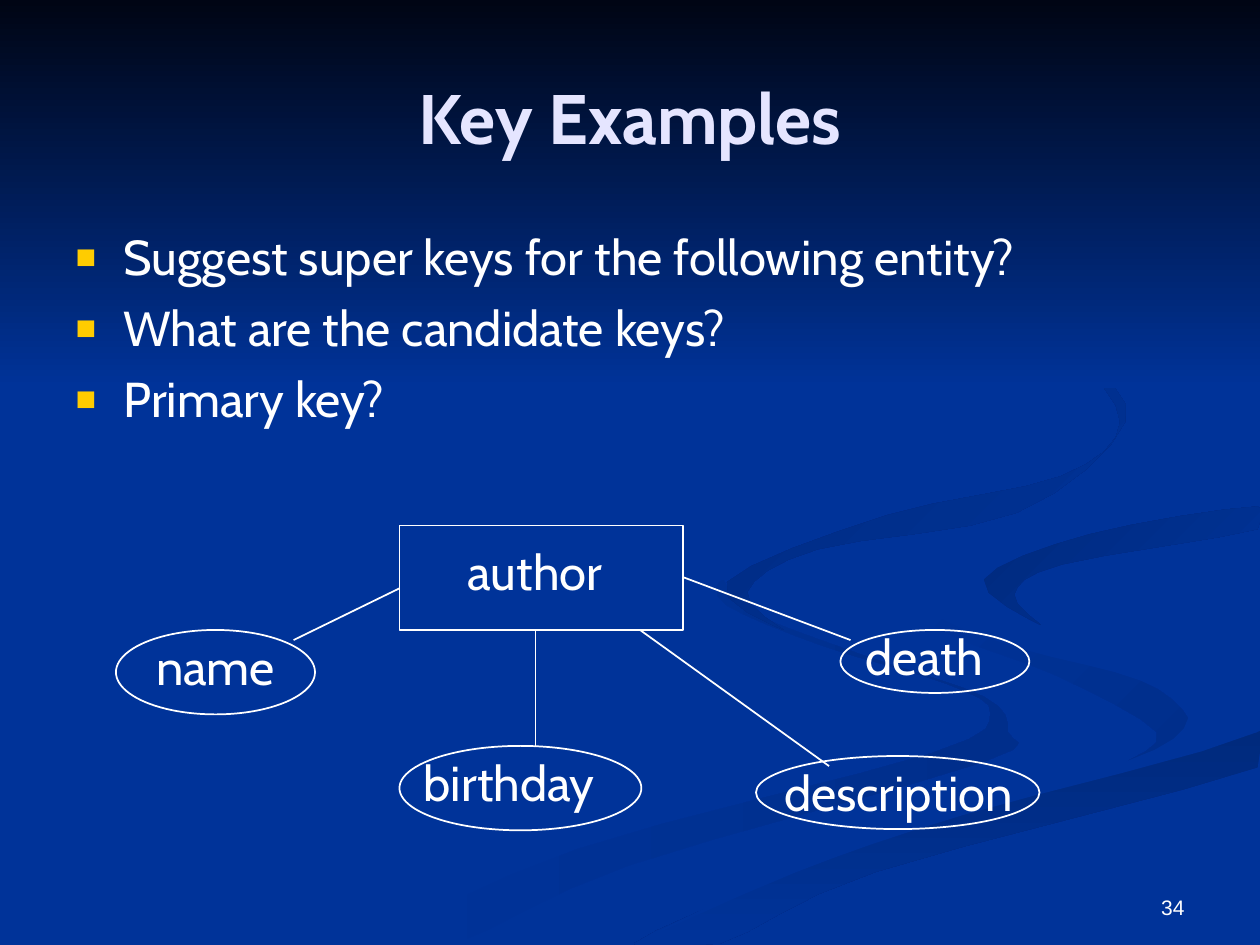
from dataclasses import dataclass

from lxml import etree
from pptx import Presentation
from pptx.dml.color import RGBColor
from pptx.enum.shapes import MSO_CONNECTOR, MSO_SHAPE
from pptx.enum.text import MSO_ANCHOR, MSO_AUTO_SIZE, PP_ALIGN
from pptx.oxml.ns import qn
from pptx.util import Inches, Pt

RECTANGLE, OVAL = MSO_SHAPE.RECTANGLE, MSO_SHAPE.OVAL
STRAIGHT = MSO_CONNECTOR.STRAIGHT
TOP, MIDDLE, BOTTOM = MSO_ANCHOR.TOP, MSO_ANCHOR.MIDDLE, MSO_ANCHOR.BOTTOM
LEFT, CENTER, RIGHT = PP_ALIGN.LEFT, PP_ALIGN.CENTER, PP_ALIGN.RIGHT
NO_FIT, GROW = MSO_AUTO_SIZE.NONE, MSO_AUTO_SIZE.SHAPE_TO_FIT_TEXT
WIDTH, HEIGHT = 10, 7.5
CURVE_STEPS = 4


@dataclass(frozen=True)
class Theme:
    background: str = "003399"
    night: str = "000514"
    shade: str = "002E8B"
    deep_shade: str = "002A7D"
    text: str = "FFFFFF"
    title: str = "E5E5FF"
    bullet: str = "FFCC00"
    font: str = "Cabin"
    number_font: str = "Arial"
    title_size: int = 40
    body_size: int = 28
    number_size: int = 12
    line_width: int = 1


# Edges shared by neighbouring ribbons, as curve points in inches
MIDDLE_EDGE = [(7.24, 4.64), (7.45, 4.9), (8.11, 5.15), (9.05, 5.4), (9.43, 5.7)]
LOWER_EDGE = [(5.03, 7.49), (6.3, 6.93), (7.64, 6.47), (9.98, 5.81)]
UPPER_EDGE = [(7.81, 4.6), (8.65, 4.24), (9.98, 4.02)]

# Closed ribbon outlines
LEFT_RIBBON = [(7.81, 5.53), (6.82, 5.19), (5.94, 4.85), (5.74, 4.6), (5.76, 4.8),
               (6.54, 5.13), (7.52, 5.43), (7.86, 5.66), (7.39, 5.98),
               (4.58, 6.74), (3, 7.49), (3.61, 7.49), (4.99, 6.87),
               (7.8, 6.05), (8, 5.81)]
MIDDLE_RIBBON = MIDDLE_EDGE + [(9.32, 5.89), (8.94, 6.05), (9.18, 5.81),
                               (8.38, 5.36), (7.46, 5)]
LOWER_RIBBON = LOWER_EDGE + [(9.98, 6.09), (6.95, 6.92), (5.71, 7.49)]
WIDE_RIBBON = (MIDDLE_EDGE + [(8.92, 6.05), (7.04, 6.55)] + LOWER_EDGE
               + [(9.98, 5.38), (8.66, 5.09)] + UPPER_EDGE
               + [(9.98, 3.87), (7.88, 4.22)])
UPPER_RIBBON = UPPER_EDGE + [(9.98, 4.2), (8.43, 4.48), (8.05, 4.72), (8.26, 4.96)]
TALL_RIBBON = [(7.62, 2.33), (8.46, 2.79), (8.89, 3.35), (8.42, 3.78), (7.04, 4.09),
               (5.77, 4.62), (6.22, 5), (5.93, 4.7), (6.49, 4.36), (8.07, 4.07),
               (8.93, 3.35), (8.54, 2.83)]

# Entity diagram: attribute ovals, label boxes and joining lines
ENTITY = (3.17, 4.17, 2.25, 0.83)
ATTRIBUTES = [(0.92, 5, 1.58, 0.67), (3.17, 5.92, 1.92, 0.67),
              (6.67, 5, 1.5, 0.5), (6, 6, 2.25, 0.58)]
LABELS = [("author", 3.33, 4.25, 1.83), ("name", 1, 5, 1.42),
          ("birthday", 3.08, 5.92, 1.92), ("death", 6.25, 4.92, 2.17),
          ("description", 5.67, 6, 2.92)]
LABEL_HEIGHT = 0.57
LINKS = [(3.17, 4.67, 2.33, 5.08), (4.25, 5, 4.25, 5.92),
         (5.08, 5, 6.58, 6.08), (5.42, 4.58, 6.75, 5.08)]


def inches(values):
    return [Inches(value) for value in values]


def smooth_outline(points):
    """Return a closed Catmull-Rom curve through the points, held on the slide."""
    curve = []
    for index in range(len(points)):
        corners = [points[(index + shift) % len(points)] for shift in (-1, 0, 1, 2)]
        for step in range(CURVE_STEPS):
            t = step / CURVE_STEPS
            x, y = [b + t / 2 * (c - a + t * (2 * a - 5 * b + 4 * c - d
                                              + t * (3 * (b - c) + d - a)))
                    for a, b, c, d in zip(*corners)]
            curve.append((min(x, WIDTH), min(y, HEIGHT)))
    return curve


def write_text(paragraph, text, *, font, size, color, bold=False,
               align=LEFT, before=0):
    paragraph.text = text
    paragraph.alignment = align
    paragraph.space_before = Pt(before)
    paragraph.font.name, paragraph.font.size = font, Pt(size)
    paragraph.font.bold = bold
    paragraph.font.color.rgb = RGBColor.from_string(color)


class SlideBuilder:
    def __init__(self, slide, theme):
        self.slide, self.theme = slide, theme
        self.shapes = slide.shapes
        self.paint(slide.background.fill, (theme.background,))

    def paint(self, fill, colors, angle=0):
        if len(colors) == 1:
            fill.solid()
            fill.fore_color.rgb = RGBColor.from_string(colors[0])
            return
        fill.gradient()
        fill.gradient_angle = (360 - angle) % 360
        for stop, color in zip(fill.gradient_stops, colors):
            stop.color.rgb = RGBColor.from_string(color)

    def stroke(self, line):
        line.color.rgb = RGBColor.from_string(self.theme.text)
        line.width = Pt(self.theme.line_width)

    def ribbon(self, points, colors, angle=0):
        start, *rest = [inches(point) for point in smooth_outline(points)]
        builder = self.shapes.build_freeform(*start, scale=1.0)
        builder.add_line_segments(rest, close=True)
        self.finish_backdrop(builder.convert_to_shape(), colors, angle)

    def band(self, box, colors, angle):
        shape = self.shapes.add_shape(RECTANGLE, *inches(box))
        self.finish_backdrop(shape, colors, angle)

    def finish_backdrop(self, shape, colors, angle):
        self.paint(shape.fill, colors, angle)
        shape.line.fill.background()
        shape.shadow.inherit = False

    def place(self, shape, box, anchor):
        shape.left, shape.top, shape.width, shape.height = inches(box)
        shape.text_frame.vertical_anchor = anchor
        shape.text_frame.auto_size = NO_FIT

    def title(self, text, box):
        theme, shape = self.theme, self.shapes.title
        self.place(shape, box, MIDDLE)
        write_text(shape.text_frame.paragraphs[0], text, font=theme.font,
                   size=theme.title_size, color=theme.title, bold=True, align=CENTER)

    def bullets(self, lines, box):
        theme, shape = self.theme, self.slide.placeholders[1]
        self.place(shape, box, TOP)
        frame = shape.text_frame
        for index, text in enumerate(lines):
            paragraph = frame.add_paragraph() if index else frame.paragraphs[0]
            self.add_bullet(paragraph)
            write_text(paragraph, text, font=theme.font, size=theme.body_size,
                       color=theme.text, before=7 if index else 0)

    def add_bullet(self, paragraph):
        properties = paragraph._p.get_or_add_pPr()
        properties.set("marL", str(Inches(0.38)))
        properties.set("indent", str(-Inches(0.38)))
        color = etree.SubElement(properties, qn("a:buClr"))
        etree.SubElement(color, qn("a:srgbClr"), val=self.theme.bullet)
        etree.SubElement(properties, qn("a:buSzPct"), val="70000")
        etree.SubElement(properties, qn("a:buChar"), char="■")

    def text_box(self, text, box, *, anchor=TOP, fit=GROW, **style):
        frame = self.shapes.add_textbox(*inches(box)).text_frame
        frame.word_wrap, frame.auto_size = True, fit
        frame.vertical_anchor = anchor
        write_text(frame.paragraphs[0], text, color=self.theme.text, **style)

    def outline(self, kind, box):
        shape = self.shapes.add_shape(kind, *inches(box))
        shape.fill.background()
        self.stroke(shape.line)
        shape.shadow.inherit = False

    def link(self, ends):
        connector = self.shapes.add_connector(STRAIGHT, *inches(ends))
        self.stroke(connector.line)
        etree.SubElement(connector._element.spPr, qn("a:effectLst"))


def main():
    presentation = Presentation()
    presentation.slide_width, presentation.slide_height = inches((WIDTH, HEIGHT))
    theme = Theme()
    slide = presentation.slides.add_slide(presentation.slide_layouts[1])
    builder = SlideBuilder(slide, theme)

    # Backdrop, kept behind the placeholders
    placeholders = [shape._element for shape in slide.placeholders]
    fade_out = (theme.background, theme.shade)
    fade_in = (theme.deep_shade, theme.background)
    builder.ribbon(LEFT_RIBBON, fade_out)
    builder.ribbon(MIDDLE_RIBBON, fade_out, 45)
    builder.ribbon(LOWER_RIBBON, fade_in, 90)
    builder.ribbon(WIDE_RIBBON, (theme.background,))
    builder.ribbon(UPPER_RIBBON, fade_in, 45)
    builder.ribbon(TALL_RIBBON, fade_in, 45)
    builder.band((0, 0, WIDTH, 3.08), (theme.night, theme.background), 90)
    for element in placeholders:
        slide.shapes._spTree.append(element)

    # Slide number, title and questions
    builder.text_box("34", (7.17, 6.83, 2.33, 0.52), anchor=BOTTOM, fit=NO_FIT,
                     font=theme.number_font, size=theme.number_size, align=RIGHT)
    builder.title("Key Examples", (0.5, 0.3, 9, 1.25))
    builder.bullets(["Suggest super keys for the following entity?",
                     "What are the candidate keys?", "Primary key?"],
                    (0.5, 1.75, 9, 4.95))

    # Entity diagram
    builder.outline(RECTANGLE, ENTITY)
    for text, left, top, width in LABELS:
        builder.text_box(text, (left, top, width, LABEL_HEIGHT), font=theme.font,
                         size=theme.body_size, align=CENTER)
    for box in ATTRIBUTES:
        builder.outline(OVAL, box)
    for ends in LINKS:
        builder.link(ends)

    presentation.save("out.pptx")


if __name__ == "__main__":
    main()
